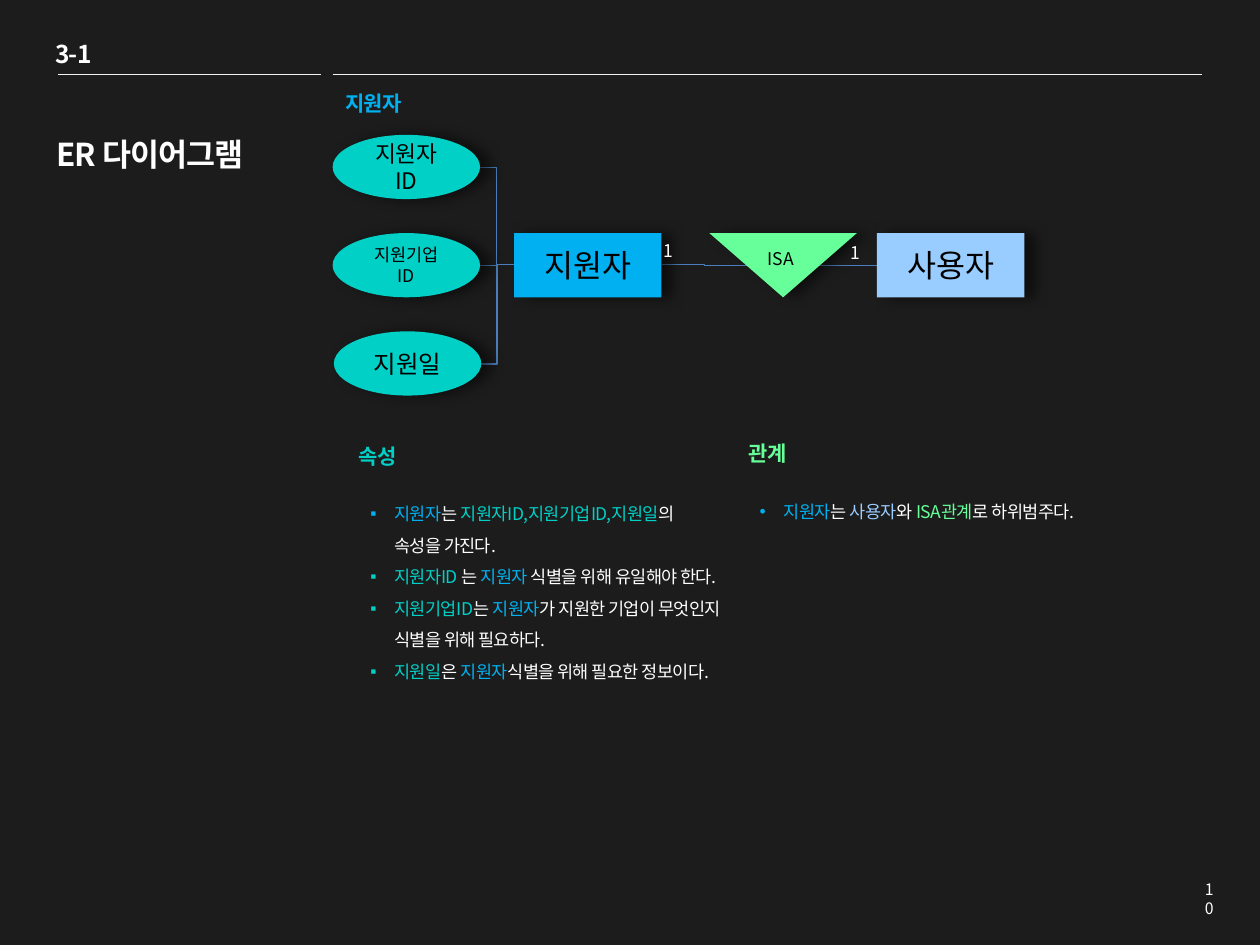
from lxml import etree
from pptx import Presentation
from pptx.dml.color import RGBColor
from pptx.enum.shapes import MSO_CONNECTOR, MSO_SHAPE
from pptx.enum.text import MSO_ANCHOR, MSO_AUTO_SIZE, PP_ALIGN
from pptx.oxml.ns import qn
from pptx.util import Inches, Pt

RECT, OVAL, TRIANGLE = MSO_SHAPE.RECTANGLE, MSO_SHAPE.OVAL, MSO_SHAPE.ISOSCELES_TRIANGLE
STRAIGHT, ELBOW = MSO_CONNECTOR.STRAIGHT, MSO_CONNECTOR.ELBOW
LEFT, CENTER, RIGHT = PP_ALIGN.LEFT, PP_ALIGN.CENTER, PP_ALIGN.RIGHT
FONT = "Noto Sans CJK KR"
COLORS = {
    "background": "1C1C1C", "white": "FFFFFF", "black": "000000", "rule": "F2F2F2",
    "link": "4B7EBC", "entity": "00B0F0", "attribute": "00D0C6",
    "user": "99CCFF", "relation": "66FF99",
}
NODE_W, NODE_H = 1.17, 0.51


def color(name):
    return RGBColor.from_string(COLORS[name])


def write(para, spans, size, bold=False, spacing=0, align=LEFT, bullet=None, line=None):
    para.alignment = align
    if line:
        para.line_spacing = line
    props = para._p.get_or_add_pPr()
    if bullet:
        props.set("marL", str(Inches(0.19)))
        props.set("indent", str(-Inches(0.19)))
        etree.SubElement(props, qn("a:buFont"), typeface="Arial")
        etree.SubElement(props, qn("a:buChar"), char=bullet)
    para.font.size = Pt(size)
    para.font.bold = bold
    para.font.name = FONT
    para.font.color.rgb = color(spans[0][1])
    defaults = props.find(qn("a:defRPr"))
    defaults.set("spc", str(round(spacing * 100)))
    etree.SubElement(defaults, qn("a:ea"), typeface=FONT)
    for text, name in spans:
        span = para.add_run()
        span.text = text
        if len(spans) > 1:
            span.font.color.rgb = color(name)


deck = Presentation()
deck.slide_width, deck.slide_height = Inches(10), Inches(7.5)
page = deck.slides.add_slide(deck.slide_layouts[6])
page.background.fill.solid()
page.background.fill.fore_color.rgb = color("background")

connectors = [
    (STRAIGHT, 0.46, 0.59, 2.55, 0.59, "rule", 0.25),
    (STRAIGHT, 2.64, 0.59, 9.54, 0.59, "rule", 0.25),
    (ELBOW, 3.8, 1.33, 4.08, 2.1, "link", 0.75),
    (ELBOW, 3.8, 2.11, 4.08, 2.1, "link", 0.75),
    (ELBOW, 3.81, 2.89, 4.08, 2.1, "link", 0.75),
    (ELBOW, 5.93, 2.11, 5.25, 2.1, "link", 0.75),
    (ELBOW, 6.96, 2.11, 6.51, 2.11, "link", 0.75),
]
for kind, x1, y1, x2, y2, name, width in connectors:
    connector = page.shapes.add_connector(kind, Inches(x1), Inches(y1), Inches(x2), Inches(y2))
    connector.line.color.rgb = color(name)
    connector.line.width = Pt(width)
    etree.SubElement(connector._element.spPr, qn("a:effectLst"))

nodes = [
    (RECT, 4.08, 1.85, "entity", "지원자", 18),
    (OVAL, 2.64, 1.07, "attribute", "지원자ID", 13),
    (OVAL, 2.64, 1.85, "attribute", "지원기업ID", 10),
    (OVAL, 2.65, 2.63, "attribute", "지원일", 14),
    (RECT, 6.96, 1.85, "user", "사용자", 18),
    (TRIANGLE, 5.63, 1.85, "relation", "", 10),
]
for kind, x, y, name, label, size in nodes:
    node = page.shapes.add_shape(kind, Inches(x), Inches(y), Inches(NODE_W), Inches(NODE_H))
    node.fill.solid()
    node.fill.fore_color.rgb = color(name)
    node.line.fill.background()
    node.shadow.inherit = False
    effects = node._element.spPr.find(qn("a:effectLst"))
    shadow = etree.SubElement(effects, qn("a:outerShdw"), blurRad=str(Pt(8)),
                              dist=str(Pt(6)), dir="0", algn="ctr", rotWithShape="0")
    tint = etree.SubElement(shadow, qn("a:srgbClr"), val=COLORS["black"])
    etree.SubElement(tint, qn("a:alpha"), val="55000")
    if kind == TRIANGLE:
        node.rotation = 180
    if label:
        node.text_frame.word_wrap = True
        node.text_frame.vertical_anchor = MSO_ANCHOR.MIDDLE
        write(node.text_frame.paragraphs[0], [(label, "black")], size, align=CENTER)

heading = {"size": 12, "bold": True, "spacing": -0.3}
labels = [
    (0.34, 0.26, 0.49, 0.34, False, "3-1", "white", {"size": 14, "bold": True, "spacing": -0.5}),
    (0.35, 1.02, 2.2, 1.61, True, "ER 다이어그램", "white", {"size": 18, "bold": True, "spacing": -0.5}),
    (9.45, 6.93, 0.28, 0.25, True, "10", "white", {"size": 9, "align": RIGHT}),
    (5.17, 1.77, 0.29, 0.32, True, "1", "white", {"size": 10, "line": 1.5}),
    (6.65, 1.79, 0.29, 0.32, False, "1", "white", {"size": 10, "line": 1.5}),
    (5.99, 1.92, 0.41, 0.27, False, "ISA", "black", {"size": 10, "align": CENTER}),
    (2.64, 0.67, 3.22, 0.3, True, "지원자", "entity", heading),
    (2.75, 3.47, 3.22, 0.3, True, "속성", "attribute", heading),
    (5.84, 3.45, 3.22, 0.3, True, "관계", "relation", heading),
]
for x, y, w, h, wrap, text, name, style in labels:
    box = page.shapes.add_textbox(Inches(x), Inches(y), Inches(w), Inches(h))
    box.text_frame.word_wrap = wrap
    if h < 1:
        box.text_frame.auto_size = MSO_AUTO_SIZE.SHAPE_TO_FIT_TEXT
    write(box.text_frame.paragraphs[0], [(text, name)], **style)

attribute_notes = [
    [("지원자", "entity"), ("는 ", "white"), ("지원자ID,지원기업ID,지원일", "attribute"),
     ("의 속성을 가진다.", "white")],
    [("지원자ID ", "attribute"), ("는 ", "white"), ("지원자", "entity"),
     (" 식별을 위해 유일해야 한다.", "white")],
    [("지원기업ID", "attribute"), ("는 ", "white"), ("지원자", "entity"),
     ("가 지원한 기업이 무엇인지 식별을 위해 필요하다.", "white")],
    [("지원일", "attribute"), ("은 ", "white"), ("지원자", "entity"),
     ("식별을 위해 필요한 정보이다.", "white")],
]
relation_notes = [
    [("지원자", "entity"), ("는 ", "white"), ("사용자", "user"), ("와 ", "white"),
     ("ISA관계", "relation"), ("로 하위범주다.", "white")],
]
for x, y, w, h, bullet, notes in [
    (2.84, 3.86, 2.99, 2.09, "▪", attribute_notes),
    (5.93, 3.84, 3.61, 0.32, "•", relation_notes),
]:
    box = page.shapes.add_textbox(Inches(x), Inches(y), Inches(w), Inches(h))
    frame = box.text_frame
    frame.word_wrap = True
    frame.auto_size = MSO_AUTO_SIZE.SHAPE_TO_FIT_TEXT
    for index, spans in enumerate(notes):
        para = frame.add_paragraph() if index else frame.paragraphs[0]
        write(para, spans, 10, spacing=-0.3, bullet=bullet, line=1.5)

deck.save("out.pptx")
